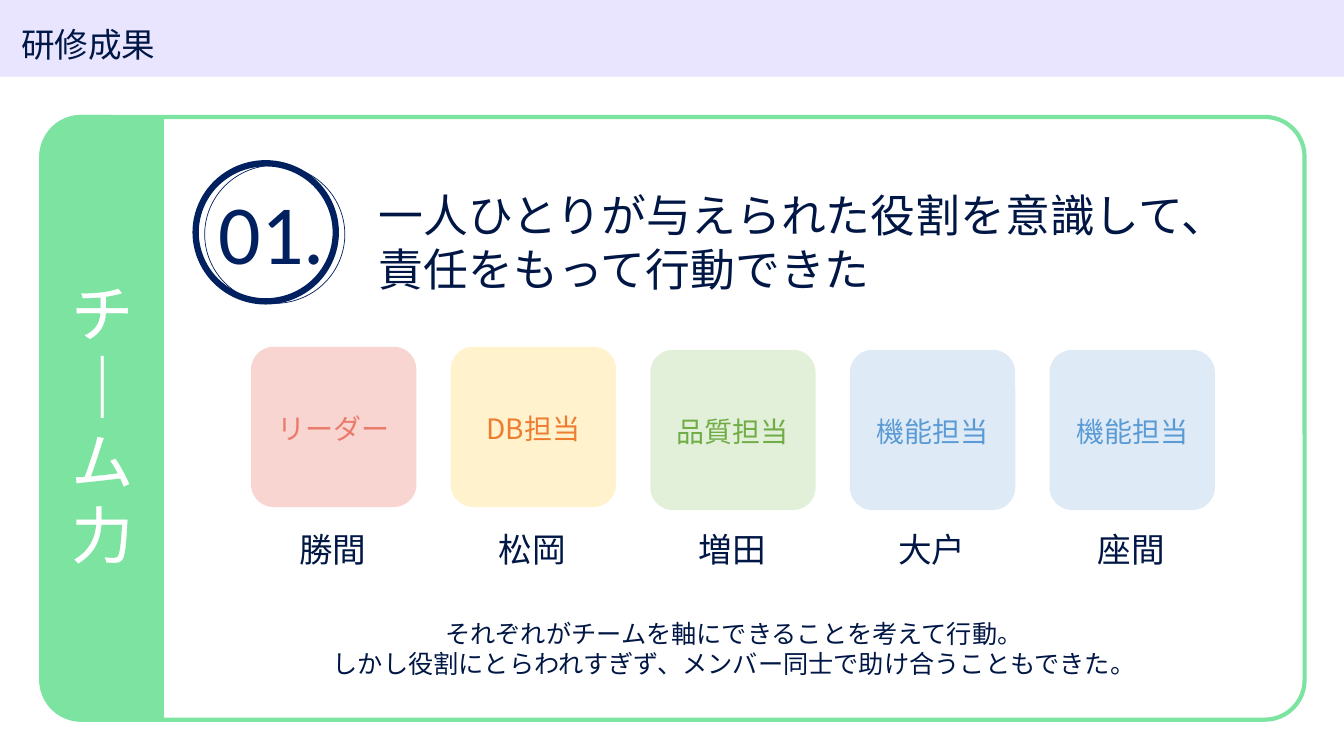
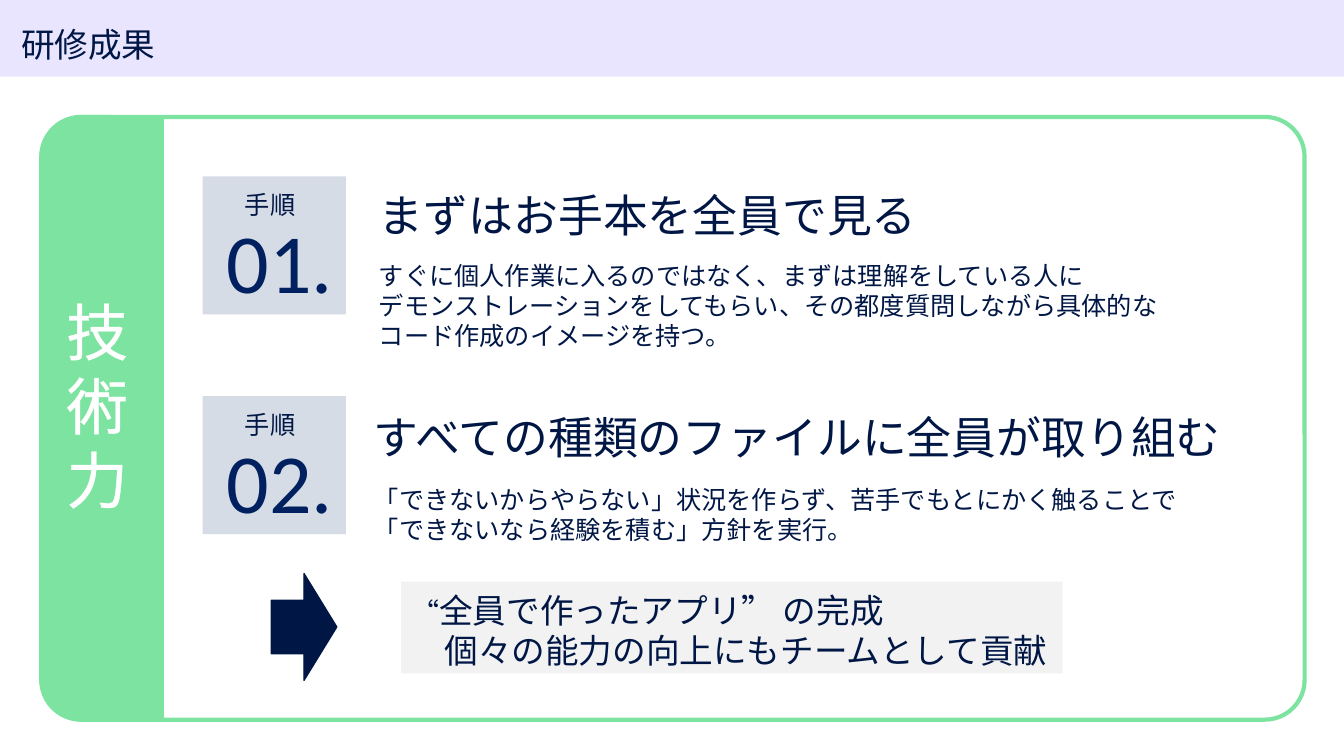
from lxml import etree
from pptx import Presentation
from pptx.dml.color import RGBColor
from pptx.enum.shapes import MSO_SHAPE
from pptx.enum.text import MSO_ANCHOR, MSO_AUTO_SIZE, PP_ALIGN
from pptx.oxml.ns import qn
from pptx.util import Inches, Pt

RECT, ROUNDED = MSO_SHAPE.RECTANGLE, MSO_SHAPE.ROUNDED_RECTANGLE
CIRCLE, ARROW = MSO_SHAPE.FLOWCHART_CONNECTOR, MSO_SHAPE.RIGHT_ARROW
LEFT, CENTER = PP_ALIGN.LEFT, PP_ALIGN.CENTER
TOP, MIDDLE = MSO_ANCHOR.TOP, MSO_ANCHOR.MIDDLE
NO_FIT = MSO_AUTO_SIZE.NONE

NAVY = RGBColor(0x00, 0x17, 0x46)
NUMBER_BLUE = RGBColor(0x00, 0x20, 0x60)
LAVENDER = RGBColor(0xE9, 0xE5, 0xFF)
GREEN = RGBColor(0x7D, 0xE3, 0xA1)
WHITE = RGBColor(0xFF, 0xFF, 0xFF)
STEP_GRAY = RGBColor(0xD6, 0xDC, 0xE5)
RESULT_GRAY = RGBColor(0xF2, 0xF2, 0xF2)
PINK, CORAL = RGBColor(0xF8, 0xD5, 0xD0), RGBColor(0xEA, 0x7B, 0x6B)
CREAM, ORANGE = RGBColor(0xFF, 0xF2, 0xCC), RGBColor(0xED, 0x7D, 0x31)
MINT, LEAF = RGBColor(0xE2, 0xF0, 0xD9), RGBColor(0x70, 0xAD, 0x47)
SKY, BLUE = RGBColor(0xDE, 0xEB, 0xF7), RGBColor(0x5B, 0x9B, 0xD5)

JP_FONT, NUMBER_FONT = "Noto Sans CJK JP", "Calibri"
SLIDE_W, SLIDE_H = 13.33, 7.5

# Content
TITLE = "研修成果"
TEAM_HEADING = "一人ひとりが与えられた役割を意識して、責任をもって行動できた"
# role, member, card fill, text colour, card top
MEMBERS = [
    ("リーダー", "勝間", PINK, CORAL, 3.44),
    ("DB担当", "松岡", CREAM, ORANGE, 3.44),
    ("品質担当", "増田", MINT, LEAF, 3.47),
    ("機能担当", "大戸", SKY, BLUE, 3.47),
    ("機能担当", "座間", SKY, BLUE, 3.47),
]
TEAM_SUMMARY = ("それぞれがチームを軸にできることを考えて行動。\n"
                "しかし役割にとらわれすぎず、メンバー同士で助け合うこともできた。")
# number, badge top, heading and its place, body and its place
STEPS = [
    ("01.", 1.75,
     "まずはお手本を全員で見る", (3.66, 1.77, 5.57, 0.64),
     "すぐに個人作業に入るのではなく、まずは理解をしている人に\n"
     "デモンストレーションをしてもらい、その都度質問しながら具体的なコード作成のイメージを持つ。",
     (3.66, 2.51, 8, 1.01)),
    ("02.", 3.93,
     "すべての種類のファイルに全員が取り組む", (3.61, 3.97, 8.71, 0.64),
     "「できないからやらない」状況を作らず、苦手でもとにかく触ることで"
     "「できないなら経験を積む」方針を実行。",
     (3.61, 4.73, 8.26, 0.71)),
]
RESULT_QUOTE = "“"
RESULT = "全員で作ったアプリ” の完成"
RESULT_EFFECT = "個々の能力の向上にもチームとして貢献"


def box(at):
    return [Inches(v) for v in at]


def format_run(r, size, color, font=JP_FONT):
    r.font.size, r.font.name = Pt(size), font
    r.font.color.rgb = color
    if font != JP_FONT:
        return
    # East Asian font and a text outline in the text colour
    rpr = r._r.get_or_add_rPr()
    latin = rpr.find(qn("a:latin"))
    ea = etree.Element(qn("a:ea"), typeface=font)
    latin.addnext(ea)
    ln = etree.Element(qn("a:ln"), w=str(Pt(0.75)))
    fill = etree.SubElement(ln, qn("a:solidFill"))
    etree.SubElement(fill, qn("a:srgbClr"), val=str(color))
    rpr.insert(0, ln)


def format_frame(tf, size, color, align=LEFT, anchor=TOP, font=JP_FONT):
    tf.word_wrap, tf.auto_size, tf.vertical_anchor = True, NO_FIT, anchor
    tf.margin_left = tf.margin_right = Inches(0.1)
    tf.margin_top = tf.margin_bottom = Inches(0.05)
    if font == JP_FONT:
        tf.margin_top += Pt(size * 0.09)
    for p in tf.paragraphs:
        p.alignment = align
        if font == JP_FONT:
            p.line_spacing = Pt(size * 1.2)
        for r in p.runs:
            format_run(r, size, color, font)


def add_text(s, at, text, size, color=NAVY, **style):
    tf = s.shapes.add_textbox(*box(at)).text_frame
    tf.text = text
    format_frame(tf, size, color, **style)


def add_shape(s, kind, at, fill=None, line=None, width=1, adj=None):
    sp = s.shapes.add_shape(kind, *box(at))
    sp.shadow.inherit = False
    if adj is not None:
        sp.adjustments[0] = adj
    if fill is None:
        sp.fill.background()
    else:
        sp.fill.solid()
        sp.fill.fore_color.rgb = fill
    if line is None:
        sp.line.fill.background()
    else:
        sp.line.color.rgb = line
        sp.line.width = Pt(width)
    return sp


def add_base(prs, side_text, side_at):
    """Title band, green frame and side tab with its stacked label."""
    s = prs.slides.add_slide(prs.slide_layouts[5])
    title = s.shapes.title
    title.left, title.top, title.width, title.height = box((0.11, 0.16, 2.29, 0.5))
    title.text_frame.text = TITLE
    format_frame(title.text_frame, 24, NAVY)
    band = add_shape(s, RECT, (0, 0, SLIDE_W, 0.76), LAVENDER)
    title.element.addprevious(band.element)
    add_shape(s, ROUNDED, (0.41, 1.16, 12.53, 5.98), None, GREEN, 3, 0.066)
    add_shape(s, ROUNDED, (0.41, 1.16, 1.08, 5.98), GREEN, GREEN, 3, 0.386)
    add_shape(s, RECT, (1.08, 1.16, 0.54, 5.98), GREEN, GREEN)
    add_text(s, side_at, side_text, 44, WHITE)
    return s


def add_number(s, left, top, text):
    add_text(s, (left, top, 1.45, 1.11), text, 60, NUMBER_BLUE, font=NUMBER_FONT)


def build_team(prs):
    s = add_base(prs, "チ｜ム力", (0.61, 2.62, 0.92, 3.06))

    # Numbered heading
    add_shape(s, CIRCLE, (1.94, 1.62, 1.39, 1.37), None, NUMBER_BLUE, 4.5)
    add_number(s, 2.07, 1.74, "01.")
    add_shape(s, CIRCLE, (2.03, 1.64, 1.39, 1.37), None, NUMBER_BLUE, 0.5)
    add_text(s, (3.66, 1.77, 8.6, 1.18), TEAM_HEADING, 32)

    # Role cards with the member names below
    card_w, pitch = 1.64, 1.98
    for i, (role, member, fill, color, top) in enumerate(MEMBERS):
        left = 2.49 + i * pitch
        card = add_shape(s, ROUNDED, (left, top, card_w, 1.59), fill, adj=0.142)
        card.text_frame.text = role
        format_frame(card.text_frame, 20, color, CENTER, MIDDLE)
        add_text(s, (left + 0.38, 5.17, 0.9, 0.5), member, 24)

    add_text(s, (3.15, 6.06, 8.26, 0.71), TEAM_SUMMARY, 18, align=CENTER)


def build_skill(prs):
    s = add_base(prs, "技術力", (0.56, 2.81, 0.92, 2.32))

    # Steps
    for number, top, heading, heading_at, body, body_at in STEPS:
        add_shape(s, RECT, (2.01, top, 1.42, 1.37), STEP_GRAY)
        add_number(s, 2.15, top + 0.28, number)
        add_text(s, (2.33, top + 0.06, 0.8, 0.4), "手順", 18)
        add_text(s, heading_at, heading, 32)
        add_text(s, body_at, body, 18)

    # Result
    add_shape(s, ARROW, (2.69, 5.69, 0.65, 1.06), NAVY, NAVY)
    result = add_shape(s, RECT, (3.98, 5.77, 6.56, 0.91), RESULT_GRAY)
    tf = result.text_frame
    tf.text = RESULT_QUOTE
    tf.paragraphs[0].add_run().text = RESULT
    effect = tf.add_paragraph()
    effect.text = RESULT_EFFECT
    effect._p.get_or_add_pPr().set("marL", str(Inches(0.33)))
    format_frame(tf, 24, NAVY)
    tf.paragraphs[0].runs[0].font.size = Pt(20)


def main():
    prs = Presentation()
    prs.slide_width, prs.slide_height = Inches(SLIDE_W), Inches(SLIDE_H)
    build_team(prs)
    build_skill(prs)
    prs.save("out.pptx")


if __name__ == "__main__":
    main()
